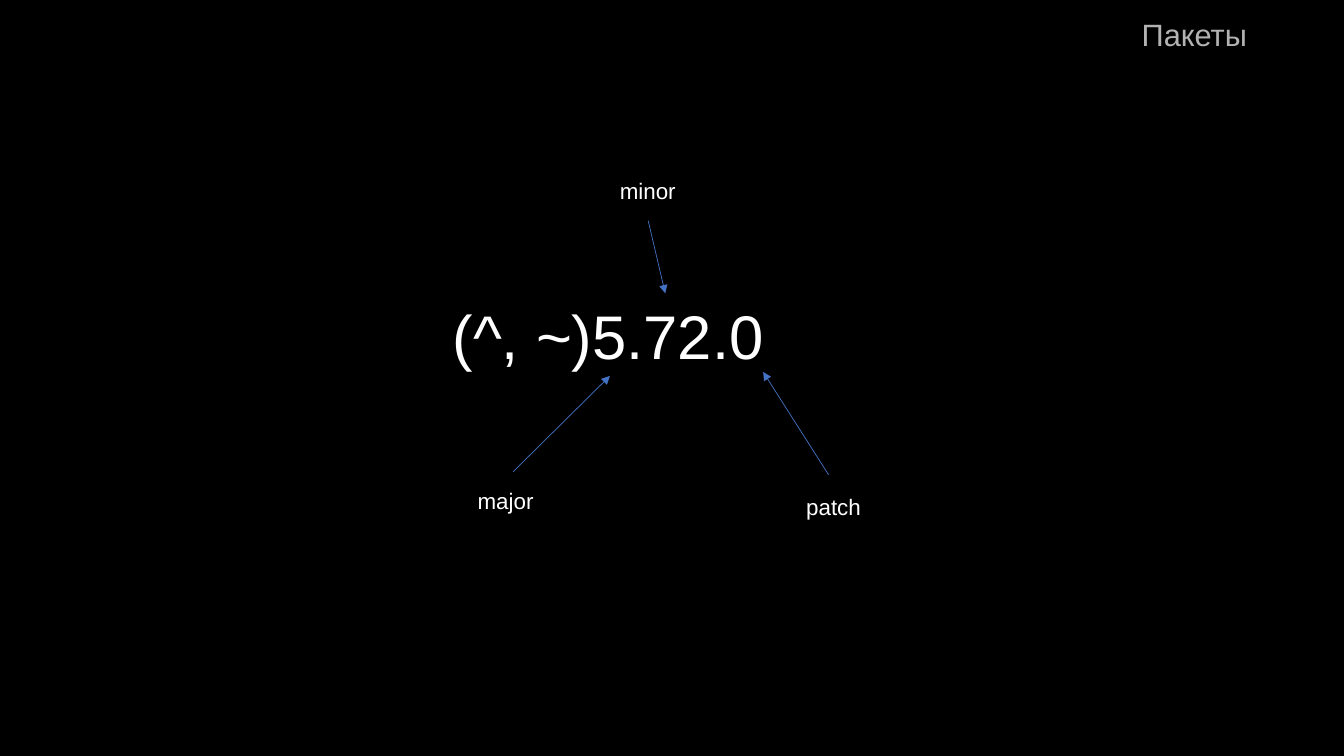
"""Build a slide that explains the parts of a package version number."""
from lxml import etree
from pptx import Presentation
from pptx.dml.color import RGBColor
from pptx.enum.shapes import MSO_CONNECTOR
from pptx.enum.text import MSO_ANCHOR, MSO_AUTO_SIZE, PP_ALIGN
from pptx.oxml.ns import qn
from pptx.util import Inches, Pt

STRAIGHT = MSO_CONNECTOR.STRAIGHT
TOP = MSO_ANCHOR.TOP
NO_FIT, GROW = MSO_AUTO_SIZE.NONE, MSO_AUTO_SIZE.SHAPE_TO_FIT_TEXT
LEFT, RIGHT = PP_ALIGN.LEFT, PP_ALIGN.RIGHT

COLORS = {"background": "000000", "title": "B2B2B2", "text": "FFFFFF", "arrow": "4472C4"}
FONT = "Arial"
LABEL_SIZE = (6.9, 4.93)

presentation = Presentation()
presentation.slide_width, presentation.slide_height = Inches(13.333), Inches(7.5)
slide = presentation.slides.add_slide(presentation.slide_layouts[5])
slide.background.fill.solid()
slide.background.fill.fore_color.rgb = RGBColor.from_string(COLORS["background"])


def lengths(*percents):
    """Turn alternating percentages of slide width and height into lengths."""
    sides = (presentation.slide_width, presentation.slide_height)
    return [round(sides[i % 2] * percent / 100) for i, percent in enumerate(percents)]


def write(shape, text, size, color, frame_format, paragraph_format):
    """Put one formatted paragraph into a shape."""
    frame = shape.text_frame
    for name, value in frame_format.items():
        setattr(frame, name, value)
    paragraph = frame.paragraphs[0]
    for name, value in paragraph_format.items():
        setattr(paragraph, name, value)
    run = paragraph.add_run()
    run.text = text
    for name, value in {"name": FONT, "size": Pt(size)}.items():
        setattr(run.font, name, value)
    run.font.color.rgb = RGBColor.from_string(COLORS[color])


title = slide.shapes.title
title.left, title.top, title.width, title.height = lengths(47.78, 2, 45.75, 6.27)
write(
    title, "Пакеты", 22, "title",
    {"word_wrap": True, "auto_size": NO_FIT, "vertical_anchor": TOP},
    {"alignment": RIGHT, "line_spacing": 0.9},
)

texts = [
    ("(^, ~)5.72.0", 44, (32.93, 38.8, 25.35, 11.2)),
    ("major", 16, (34.8, 63.73, *LABEL_SIZE)),
    ("minor", 16, (45.38, 22.8, *LABEL_SIZE)),
    ("patch", 16, (59.25, 64.53, *LABEL_SIZE)),
]
for text, size, box in texts:
    write(
        slide.shapes.add_textbox(*lengths(*box)), text, size, "text",
        {"word_wrap": True, "auto_size": GROW, "vertical_anchor": TOP},
        {"alignment": LEFT},
    )

arrows = [
    (38.18, 62.4, 45.38, 49.73),
    (48.23, 29.2, 49.5, 38.8),
    (61.65, 62.8, 56.78, 49.2),
]
for ends in arrows:
    arrow = slide.shapes.add_connector(STRAIGHT, *lengths(*ends))
    arrow.line.width = Pt(0.5)
    arrow.line.color.rgb = RGBColor.from_string(COLORS["arrow"])
    etree.SubElement(arrow.line._get_or_add_ln(), qn("a:tailEnd"), type="triangle")
    etree.SubElement(arrow._element.spPr, qn("a:effectLst"))

presentation.save("out.pptx")
